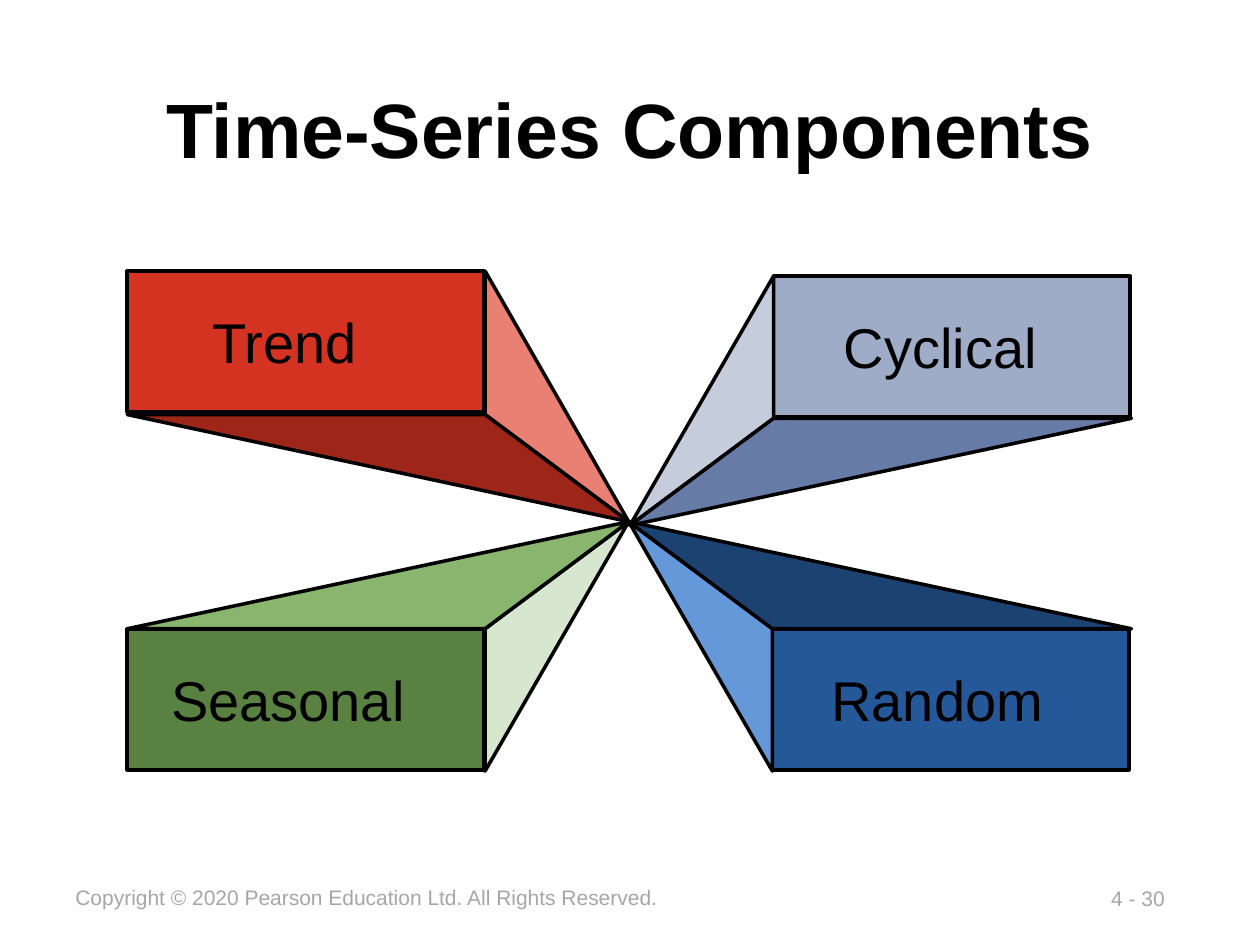
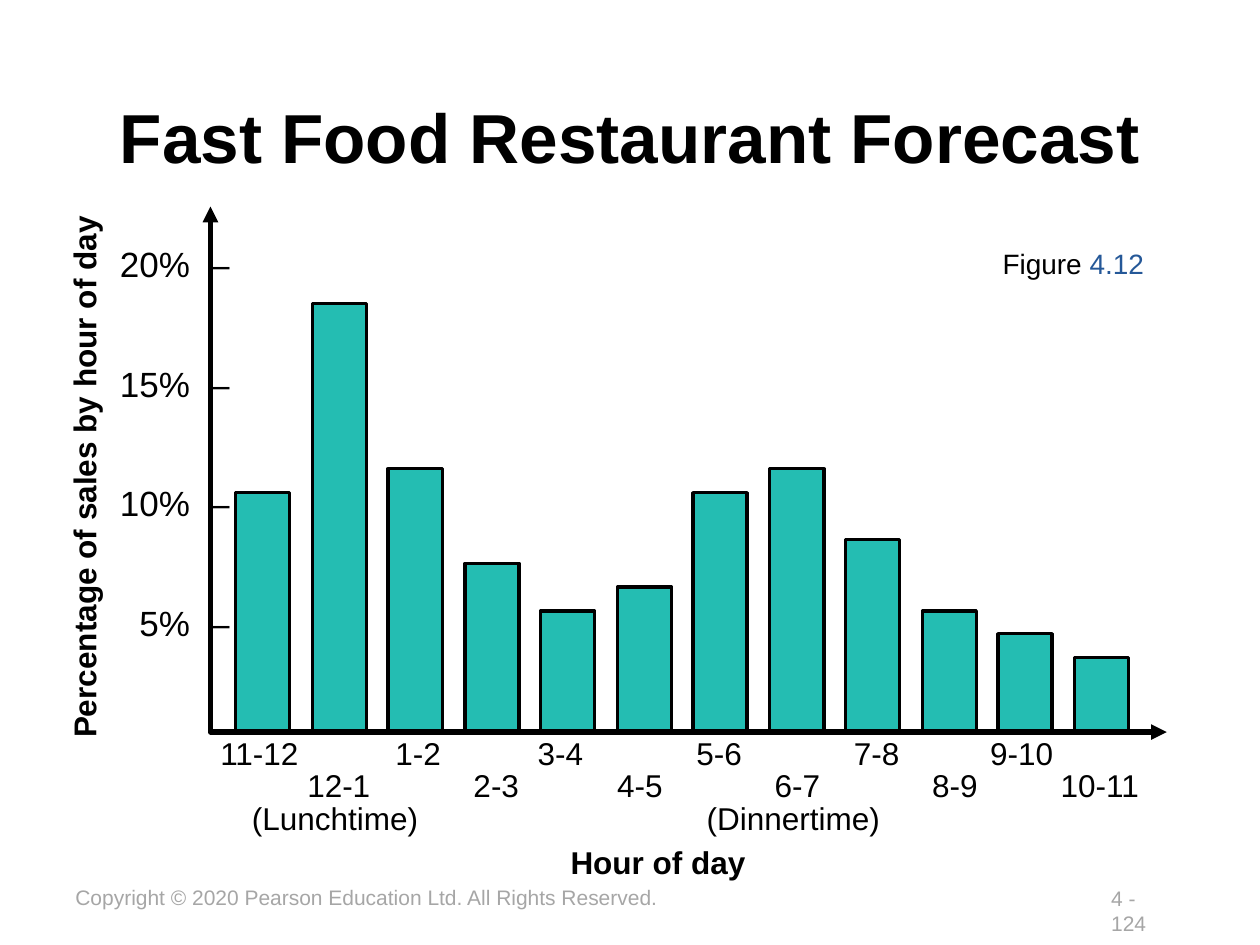
from dataclasses import dataclass

from lxml import etree
from pptx import Presentation
from pptx.dml.color import RGBColor
from pptx.enum.shapes import MSO_SHAPE
from pptx.enum.text import MSO_ANCHOR, MSO_AUTO_SIZE, PP_ALIGN
from pptx.oxml.ns import qn
from pptx.util import Emu, Pt

RECTANGLE = MSO_SHAPE.RECTANGLE
MIDDLE = MSO_ANCHOR.MIDDLE
NO_FIT = MSO_AUTO_SIZE.NONE
CENTER = PP_ALIGN.CENTER

BLACK = RGBColor(0x00, 0x00, 0x00)
GRAY = RGBColor(0xA6, 0xA6, 0xA6)
TEAL = RGBColor(0x24, 0xBD, 0xB2)
RED = RGBColor(0xD3, 0x33, 0x20)
RED_LIGHT = RGBColor(0xEA, 0x80, 0x74)
RED_DARK = RGBColor(0x9E, 0x26, 0x18)
GREEN = RGBColor(0x59, 0x81, 0x41)
GREEN_LIGHT = RGBColor(0xD7, 0xE6, 0xCE)
GREEN_MID = RGBColor(0x89, 0xB5, 0x6E)
SLATE = RGBColor(0x9F, 0xAC, 0xC7)
SLATE_LIGHT = RGBColor(0xC5, 0xCD, 0xDD)
SLATE_DARK = RGBColor(0x66, 0x7B, 0xA6)
BLUE = RGBColor(0x25, 0x58, 0x98)
BLUE_LIGHT = RGBColor(0x64, 0x98, 0xD9)
BLUE_DARK = RGBColor(0x1C, 0x42, 0x72)

FONT = "Arial"
PX_PER_INCH = 100
EMU_PER_PX = 914400 // PX_PER_INCH
TITLE_ONLY = 5
COPYRIGHT = "Copyright © 2020 Pearson Education Ltd. All Rights Reserved."

HOURS = ("11-12", "12-1", "1-2", "2-3", "3-4", "4-5",
         "5-6", "6-7", "7-8", "8-9", "9-10", "10-11")
SALES = (10, 18, 11, 7, 5, 6, 10, 11, 8, 5, 4, 3)
HOUR_STOPS = (94, 157, 219, 270, 333, 396, 458, 521, 583, 636, 698)
BAR_LEFT, BAR_BASE, BAR_WIDTH = 187, 580, 43
TWO_BAR_STEPS = 121
PX_PER_PERCENT = 18.75


@dataclass(frozen=True)
class Box:
    left: int
    top: int
    width: int
    height: int

    def emu(self) -> list[Emu]:
        return [px(v) for v in (self.left, self.top, self.width, self.height)]


@dataclass(frozen=True)
class Label:
    text: str
    box: Box
    size: float = 18
    bold: bool = False
    color: RGBColor = BLACK
    rotation: int = 0


@dataclass(frozen=True)
class Arm:
    label: str
    label_left: int
    label_width: int
    inner: int
    outer: int
    near: int
    far: int
    apex: tuple[int, int]
    face: RGBColor
    flank: RGBColor
    fold: RGBColor


ARMS = (
    Arm("Trend", 159, 158, 385, 101, 329, 215, (499, 414), RED, RED_LIGHT, RED_DARK),
    Arm("Seasonal", 126, 225, 385, 101, 499, 612, (499, 414), GREEN, GREEN_LIGHT, GREEN_MID),
    Arm("Cyclical", 660, 200, 614, 898, 332, 219, (500, 417), SLATE, SLATE_LIGHT, SLATE_DARK),
    Arm("Random", 650, 216, 613, 898, 499, 612, (499, 414), BLUE, BLUE_LIGHT, BLUE_DARK),
)

CHART_LABELS = (
    Label("(Lunchtime)", Box(190, 629, 155, 40)),
    Label("(Dinnertime)", Box(551, 629, 161, 40)),
    Label("Hour of day", Box(443, 664, 163, 40), bold=True),
    Label("Percentage of sales by hour of day", Box(-154, 355, 441, 40),
          bold=True, rotation=270),
)


def px(value: int) -> Emu:
    return Emu(value * EMU_PER_PX)


def style(p, size: float, color: RGBColor = BLACK, bold: bool = False) -> None:
    p.font.name = FONT
    p.font.size = Pt(size)
    p.font.bold = bold
    p.font.color.rgb = color


def add_label(slide, label: Label):
    sp = slide.shapes.add_textbox(*label.box.emu())
    sp.rotation = label.rotation
    tf = sp.text_frame
    tf.word_wrap = True
    p = tf.paragraphs[0]
    p.text = label.text
    style(p, label.size, label.color, label.bold)
    return sp


def add_tabbed(slide, box: Box, size: float, spacing: float, rows) -> None:
    tf = slide.shapes.add_textbox(*box.emu()).text_frame
    tf.word_wrap = True
    for i, (text, stops) in enumerate(rows):
        p = tf.add_paragraph() if i else tf.paragraphs[0]
        p.text = text
        p.line_spacing = spacing
        tabs = etree.SubElement(p._p.get_or_add_pPr(), qn("a:tabLst"))
        for pos, align in stops:
            etree.SubElement(tabs, qn("a:tab"), pos=str(px(pos)), algn=align)
        style(p, size)


def paint(sp, fill: RGBColor | None, width: float = 2) -> None:
    sp.shadow.inherit = False
    if fill is None:
        sp.fill.background()
    else:
        sp.fill.solid()
        sp.fill.fore_color.rgb = fill
    sp.line.color.rgb = BLACK
    sp.line.width = Pt(width)


def add_rect(slide, box: Box, fill: RGBColor, width: float = 2) -> None:
    paint(slide.shapes.add_shape(RECTANGLE, *box.emu()), fill, width)


def add_outline(slide, points, closed: bool = True):
    start, *rest = [(px(x), px(y)) for x, y in points]
    builder = slide.shapes.build_freeform(*start, scale=1.0)
    builder.add_line_segments(rest, close=closed)
    return builder.convert_to_shape()


def add_slide(prs, title: str, box: Box, size: float, page: str):
    slide = prs.slides.add_slide(prs.slide_layouts[TITLE_ONLY])
    sp = slide.shapes.title
    sp.left, sp.top, sp.width, sp.height = box.emu()
    tf = sp.text_frame
    tf.auto_size = NO_FIT
    tf.word_wrap = True
    tf.vertical_anchor = MIDDLE
    p = tf.paragraphs[0]
    p.text = title
    p.alignment = CENTER
    style(p, size, bold=True)
    add_label(slide, Label(page, Box(872, 698, 65, 30), 12, color=GRAY))
    add_label(slide, Label(COPYRIGHT, Box(50, 697, 486, 30), 12, color=GRAY))
    return slide


def add_arm(slide, arm: Arm) -> None:
    left, top = min(arm.inner, arm.outer), min(arm.near, arm.far)
    add_rect(slide, Box(left, top, 283, 112), arm.face)
    corner = (arm.inner, arm.near)
    for end, color in (((arm.inner, arm.far), arm.flank),
                       ((arm.outer, arm.near), arm.fold)):
        paint(add_outline(slide, (end, corner, arm.apex)), color)
    add_label(slide, Label(arm.label, Box(arm.label_left, top + 24, arm.label_width, 64), 32))


def add_bars(slide) -> None:
    for i, percent in enumerate(SALES):
        left = BAR_LEFT + (i * TWO_BAR_STEPS + 1) // 2
        height = int(percent * PX_PER_PERCENT) + 2
        add_rect(slide, Box(left, BAR_BASE - height, BAR_WIDTH, height), TEAL, 1.88)


def add_axes(slide) -> None:
    sp = add_outline(slide, ((167, 164), (167, 581), (926, 581)), closed=False)
    paint(sp, None, 3)
    ln = sp.line._get_or_add_ln()
    for end in ("a:headEnd", "a:tailEnd"):
        etree.SubElement(ln, qn(end), type="triangle")


def build_components(prs) -> None:
    slide = add_slide(prs, "Time-Series Components", Box(75, 47, 850, 108), 44, "4 - 30")
    for arm in ARMS:
        add_arm(slide, arm)


def build_forecast(prs) -> None:
    slide = add_slide(prs, "Fast Food Restaurant Forecast",
                      Box(75, 41, 850, 133), 39.6, "4 - 124")
    add_bars(slide)
    percent_stops = ((57, "r"), (73, "l"))
    add_tabbed(slide, Box(84, 126, 120, 384), 20, 2.85,
               [(f"\t{value}%\t–", percent_stops) for value in (20, 15, 10, 5)])
    add_axes(slide)
    stops = [(pos, "ctr") for pos in HOUR_STOPS]
    add_tabbed(slide, Box(165, 582, 769, 62), 18, 0.85,
               [("\t".join(HOURS[::2]), stops[1::2]),
                ("\t" + "\t".join(HOURS[1::2]), stops[::2])])
    for label in CHART_LABELS:
        add_label(slide, label)
    figure = add_label(slide, Label("Figure ", Box(786, 191, 134, 37), 16))
    r = figure.text_frame.paragraphs[0].add_run()
    r.text = "4.12"
    r.font.color.rgb = BLUE


def main() -> None:
    prs = Presentation()
    prs.slide_width, prs.slide_height = px(1000), px(750)
    build_components(prs)
    build_forecast(prs)
    prs.save("out.pptx")


if __name__ == "__main__":
    main()
